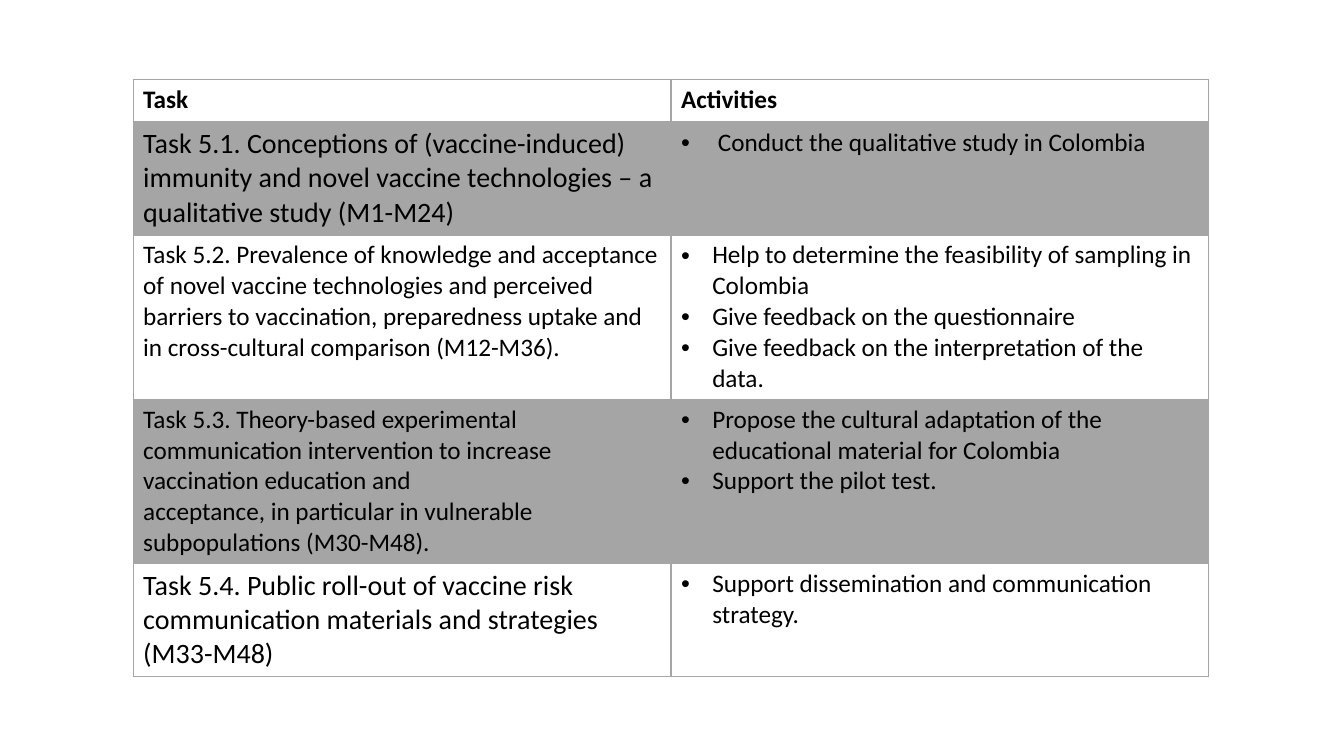
import pptx
import pptx.util
import pptx.dml.color
import pptx.oxml.ns
from lxml import etree

FONT = "Calibri"
GREY = "A5A5A5"
BLACK = "000000"
SIDES = ("lnL", "lnR", "lnT", "lnB")

# Row height in inches, task size in points, task paragraphs, activities
HEADER_HEIGHT = 0.42
TASKS = [
    (1.12, 20,
     ["Task 5.1. Conceptions of (vaccine-induced) immunity and novel vaccine "
      "technologies – a qualitative study (M1-M24)"],
     [" Conduct the qualitative study in Colombia"]),
    (1.63, 18,
     ["Task 5.2. Prevalence of knowledge and acceptance of novel vaccine "
      "technologies and perceived barriers to vaccination, preparedness uptake "
      "and in cross-cultural comparison (M12-M36)."],
     ["Help to determine the feasibility of sampling in Colombia",
      "Give feedback on the questionnaire",
      "Give feedback on the interpretation of the data."]),
    (1.63, 18,
     ["Task 5.3. Theory-based experimental communication intervention to "
      "increase vaccination education and",
      "acceptance, in particular in vulnerable subpopulations (M30-M48)."],
     ["Propose the cultural adaptation of the educational material for Colombia",
      "Support the pilot test."]),
    (1.12, 20,
     ["Task 5.4. Public roll-out of vaccine risk communication materials and "
      "strategies (M33-M48)"],
     ["Support dissemination and communication strategy."]),
]


def color(hex_text):
    return pptx.dml.color.RGBColor.from_string(hex_text)


def add_xml(parent, tag, **attributes):
    return etree.SubElement(parent, pptx.oxml.ns.qn(f"a:{tag}"), attributes)


def set_borders(cell, bottom_width):
    tcPr = cell._tc.get_or_add_tcPr()
    for side in SIDES:
        width = pptx.util.Pt(bottom_width if side == "lnB" else 1)
        line = add_xml(tcPr, side, w=str(width))
        add_xml(add_xml(line, "solidFill"), "srgbClr", val=GREY)


def set_fill(cell, shaded):
    if not shaded:
        cell.fill.background()
        return
    cell.fill.solid()
    cell.fill.fore_color.rgb = color(GREY)
    clr = cell._tc.tcPr.find(".//" + pptx.oxml.ns.qn("a:srgbClr"))
    add_xml(clr, "alpha", val="20000")


def add_bullet(p):
    pPr = p._p.get_or_add_pPr()
    indent = pptx.util.Inches(0.31)
    pPr.set("marL", str(indent))
    pPr.set("indent", str(-indent))
    add_xml(pPr, "buFont", typeface="Arial")
    add_xml(pPr, "buChar", char="•")


def fill_cell(cell, lines, size=18, bold=False, bullets=False, shaded=False):
    set_borders(cell, 2 if bold else 1)
    set_fill(cell, shaded)
    tf = cell.text_frame
    tf.text = "\n".join(lines)
    for p in tf.paragraphs:
        if bullets:
            add_bullet(p)
        p.font.name = FONT
        p.font.size = pptx.util.Pt(size)
        p.font.bold = bold
        p.font.color.rgb = color(BLACK)


def add_task_table(s, left, top, width):
    heights = [HEADER_HEIGHT] + [task[0] for task in TASKS]
    frame = s.shapes.add_table(len(heights), 2, left, top, width,
                               pptx.util.Inches(sum(heights)))
    table = frame.table
    table.first_row = False
    table.horz_banding = False
    for column in table.columns:
        column.width = width // 2
    for row, height in zip(table.rows, heights):
        row.height = pptx.util.Inches(height)

    # Header row
    for i, title in enumerate(("Task", "Activities")):
        fill_cell(table.cell(0, i), [title], bold=True)

    # Task rows, every other one shaded
    for i, (_, size, task, activities) in enumerate(TASKS, start=1):
        shaded = i % 2 == 1
        fill_cell(table.cell(i, 0), task, size, shaded=shaded)
        fill_cell(table.cell(i, 1), activities, bullets=True, shaded=shaded)


def main():
    prs = pptx.Presentation()
    prs.slide_width = pptx.util.Inches(13.33)
    prs.slide_height = pptx.util.Inches(7.5)
    s = prs.slides.add_slide(prs.slide_layouts[6])
    add_task_table(s, pptx.util.Inches(1.32), pptx.util.Inches(0.79),
                   pptx.util.Inches(10.67))
    prs.save("out.pptx")


if __name__ == "__main__":
    main()
